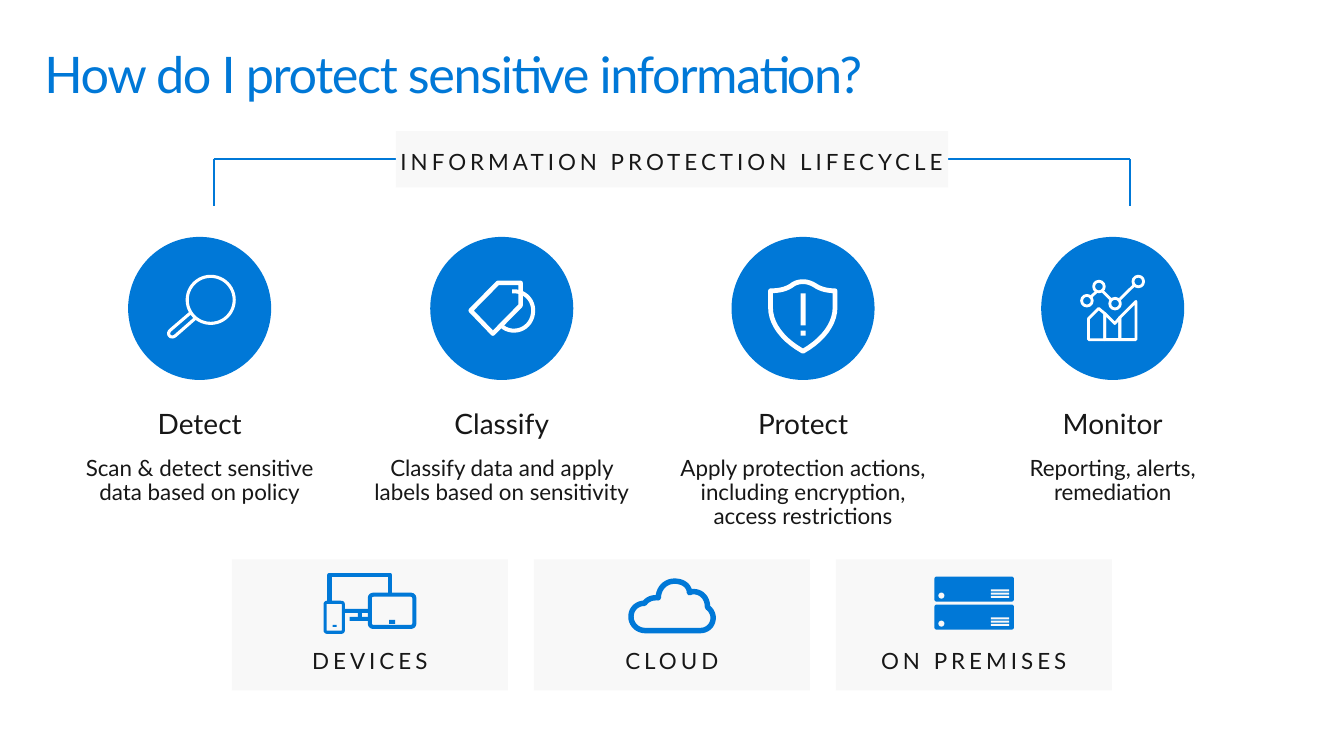
from lxml.etree import SubElement
from pptx import Presentation
from pptx.dml.color import RGBColor
from pptx.enum.shapes import MSO_CONNECTOR, MSO_SHAPE as SHAPE
from pptx.enum.text import MSO_ANCHOR as ANCHOR, PP_ALIGN as ALIGN
from pptx.oxml.ns import qn
from pptx.util import Pt

BLUE, WHITE, GREY, INK = "0078D7", "FFFFFF", "F8F8F8", "171717"


def paint(shape, fill=None, line=None, width=1.5):
    """Set fill and line from hex strings; None means none."""
    if hasattr(shape, "fill"):
        shape.shadow.inherit = False
        if fill:
            shape.fill.solid()
            shape.fill.fore_color.rgb = RGBColor.from_string(fill)
        else:
            shape.fill.background()
    else:
        SubElement(shape._element.spPr, qn("a:effectLst"))
    if line:
        shape.line.color.rgb = RGBColor.from_string(line)
        shape.line.width = Pt(width)
    else:
        shape.line.fill.background()


def write(shape, text, size=16, color=INK, align=ALIGN.CENTER, anchor=ANCHOR.TOP,
          side=0, edge=11.5, after=5.9, spacing=0, wrap=True):
    frame = shape.text_frame
    frame.word_wrap = wrap
    frame.vertical_anchor = anchor
    frame.margin_left = frame.margin_right = Pt(side)
    frame.margin_top = frame.margin_bottom = Pt(edge)
    paragraph = frame.paragraphs[0]
    paragraph.alignment = align
    paragraph.line_spacing = 0.9
    paragraph.space_after = Pt(after)
    run = paragraph.add_run()
    run.text = text
    run.font.name = "Lato"
    run.font.size = Pt(size)
    run.font.color.rgb = RGBColor.from_string(color)
    if spacing:
        run._r.get_or_add_rPr().set("spc", str(round(spacing * 100)))


prs = Presentation()
prs.slide_width, prs.slide_height = Pt(960), Pt(540)
shapes = prs.slides.add_slide(prs.slide_layouts[6]).shapes

# Title
title = shapes.add_textbox(Pt(31.7), Pt(33.8), Pt(787), Pt(43.2))
write(title, "How do I protect sensitive information?", size=36, color=BLUE,
      align=ALIGN.LEFT, anchor=ANCHOR.MIDDLE, edge=7.2, after=0, spacing=-1)

# Lifecycle steps
steps = [
    (142.6, "Detect", "Scan & detect sensitive data based on policy"),
    (358.4, "Classify", "Classify data and apply labels based on sensitivity"),
    (573.6, "Protect",
     "Apply protection actions, including encryption, access restrictions"),
    (794.8, "Monitor", "Reporting, alerts, remediation"),
]
for center, step, detail in steps:
    disc = shapes.add_shape(SHAPE.OVAL, Pt(center - 51.1), Pt(169.2), Pt(102.2), Pt(102.2))
    paint(disc, BLUE)
    for text, y, size in ((step, 282, 20), (detail, 315, 16)):
        label = shapes.add_textbox(Pt(center - 102.2), Pt(y), Pt(204.5), Pt(57))
        write(label, text, size=size, side=7.2)

# Bracket and chart trend lines
left, right, top, bottom = 152.7, 807.2, 113.8, 147
links = [
    (left, bottom, left, top, BLUE, 1.5),
    (right, bottom, right, top, BLUE, 1.5),
    (left, top, right, top, BLUE, 1.5),
    (783.4, 208.1, 779, 212.4, WHITE, 2),
    (793.4, 213.8, 787.7, 208.1, WHITE, 2),
    (810, 203.8, 799.9, 213.8, WHITE, 2),
]
for x1, y1, x2, y2, color, width in links:
    link = shapes.add_connector(MSO_CONNECTOR.STRAIGHT, Pt(x1), Pt(y1), Pt(x2), Pt(y2))
    paint(link, line=color, width=width)

# Lifecycle heading, in front of the bracket
banner = shapes.add_shape(SHAPE.RECTANGLE, Pt(282.7), Pt(93.6), Pt(394.6), Pt(40.3))
paint(banner, GREY)
write(banner, "INFORMATION PROTECTION LIFECYCLE", anchor=ANCHOR.BOTTOM,
      edge=8.6, spacing=2.9, wrap=False)

# Location tiles
for i, place in enumerate(["DEVICES", "CLOUD", "ON PREMISES"]):
    tile = shapes.add_shape(SHAPE.RECTANGLE, Pt(165.6 + 215.7 * i), Pt(399.6),
                            Pt(197.3), Pt(93.6))
    paint(tile, GREY)
    write(tile, place, anchor=ANCHOR.BOTTOM, spacing=2.9)

# Icon outlines: two numbers are a line end, six are a Bezier curve
handle = [(136.4, 223.2), (121.7, 235.8), (118.5, 238.6, 122, 242.5, 125.3, 239.8),
          (139.7, 227.2)]
tag_disc = [(365.8, 208.1), (374.4, 207.4, 380.9, 213.8, 380.9, 221.8),
            (380.9, 229.7, 375.1, 236.2, 367.2, 236.2),
            (364.3, 236.2, 361.4, 235.4, 358.9, 233.3)]
tag = [(336.2, 221.8), (355.7, 202), (371.9, 202), (371.9, 218.2), (352.1, 238.3)]
shield = [(550.4, 207.7), (556.6, 207.7, 561.6, 206.6, 565.6, 203.8),
          (567.4, 202.3, 570.2, 201.2, 573.8, 201.2),
          (576.7, 201.2, 579.6, 202.3, 582.1, 203.8),
          (586.1, 206.6, 591.1, 207.7, 596.5, 207.7), (596.5, 219.6),
          (596.5, 231.1, 588.2, 242.6, 573.6, 250.9),
          (558.7, 242.6, 550.4, 231.1, 550.4, 219.6)]
bar_left = [(784.8, 220.3), (777.6, 227.5), (777.6, 242.6), (789.1, 242.6), (789.1, 223.9)]
bar_middle = [(796.3, 231.1), (789.1, 223.9), (789.1, 242.6), (799.9, 242.6),
              (799.9, 226.8)]
bar_right = [(799.9, 226.8), (799.9, 242.6), (811.4, 242.6), (811.4, 215.3)]
cloud = [(481.7, 415.1), (488.2, 415.1, 492.5, 418.7, 492.5, 423.4),
         (493.2, 422.9, 494.3, 422.6, 495.4, 422.6),
         (501.1, 422.6, 505.4, 427, 505.4, 433.8),
         (508, 435.6, 509.4, 438.5, 509.4, 441.4),
         (509.4, 446.4, 505.4, 450.4, 500.4, 450.4), (460.8, 450.4),
         (455, 450.4, 450.7, 445.7, 450.7, 440.6),
         (450.7, 434.9, 455, 430.9, 460.4, 430.9),
         (462.2, 428.4, 465.1, 426.6, 470.2, 427),
         (470.2, 420.5, 475.2, 415.1, 481.7, 415.1)]
monitor = [(235.4, 430.6), (235.4, 410.4), (278.6, 410.4), (278.6, 424.8)]
outlines = [
    (handle, False, WHITE, 2.2), (tag_disc, False, WHITE, 2.9), (tag, True, WHITE, 3.2),
    (shield, True, WHITE, 3.4), (bar_left, True, WHITE, 2), (bar_middle, True, WHITE, 2),
    (bar_right, True, WHITE, 2), (cloud, True, BLUE, 3.9), (monitor, False, BLUE, 2.9),
]
for outline, closed, color, width in outlines:
    points = [outline[0]]
    for segment in outline[1:]:
        if len(segment) == 2:
            points.append(segment)
            continue
        x0, y0 = points[-1]
        x1, y1, x2, y2, x3, y3 = segment
        for t in (k / 10 for k in range(1, 11)):
            a, b, c, d = (1 - t) ** 3, 3 * t * (1 - t) ** 2, 3 * t * t * (1 - t), t ** 3
            points.append((a * x0 + b * x1 + c * x2 + d * x3,
                           a * y0 + b * y1 + c * y2 + d * y3))
    corners = [(Pt(x), Pt(y)) for x, y in points]
    builder = shapes.build_freeform(*corners[0])
    builder.add_line_segments(corners[1:], close=closed)
    paint(builder.convert_to_shape(), line=color, width=width)

# Icon parts: preset, left, top, width, height, fill, line, line width
parts = [
    (SHAPE.OVAL, 133.7, 197.4, 33.6, 33.6, None, WHITE, 2.2),
    (SHAPE.RECTANGLE, 571.9, 209.5, 3.6, 23, WHITE, None, 0),
    (SHAPE.RECTANGLE, 571.9, 236.2, 3.6, 3.6, WHITE, None, 0),
    (SHAPE.ROUNDED_RECTANGLE, 232.2, 430.2, 13, 21.4, None, BLUE, 2.2),
    (SHAPE.ROUNDED_RECTANGLE, 264.2, 424.8, 31.8, 23, None, BLUE, 2.9),
]
for x, y in [(772.6, 211), (809.3, 197.3), (792.7, 213.1), (781.2, 200.9)]:
    parts.append((SHAPE.OVAL, x, y, 7.6, 7.6, None, WHITE, 2))
for box in [(255.6, 437, 2.9, 5.8), (249.8, 440.6, 14.4, 2.9), (244.8, 434.9, 19.4, 2.9),
            (237.6, 446.4, 2.9, 1.4), (277.9, 442.8, 4.3, 2.9)]:
    parts.append((SHAPE.RECTANGLE, *box, BLUE, None, 0))
for y in (411.8, 431.8):
    parts.append((SHAPE.ROUNDED_RECTANGLE, 667.4, y, 56.9, 18, BLUE, None, 0))
    parts.append((SHAPE.OVAL, 670.3, y + 11.5, 4.3, 4.3, GREY, None, 0))
    for row in range(3):
        parts.append((SHAPE.ROUNDED_RECTANGLE, 707.8, y + 9.2 + 2.3 * row, 13, 1.4,
                      GREY, None, 0))
for preset, x, y, w, h, fill, line, width in parts:
    part = shapes.add_shape(preset, Pt(x), Pt(y), Pt(w), Pt(h))
    if preset == SHAPE.ROUNDED_RECTANGLE:
        part.adjustments[0] = 0.1
    paint(part, fill, line, width)

prs.save("out.pptx")
